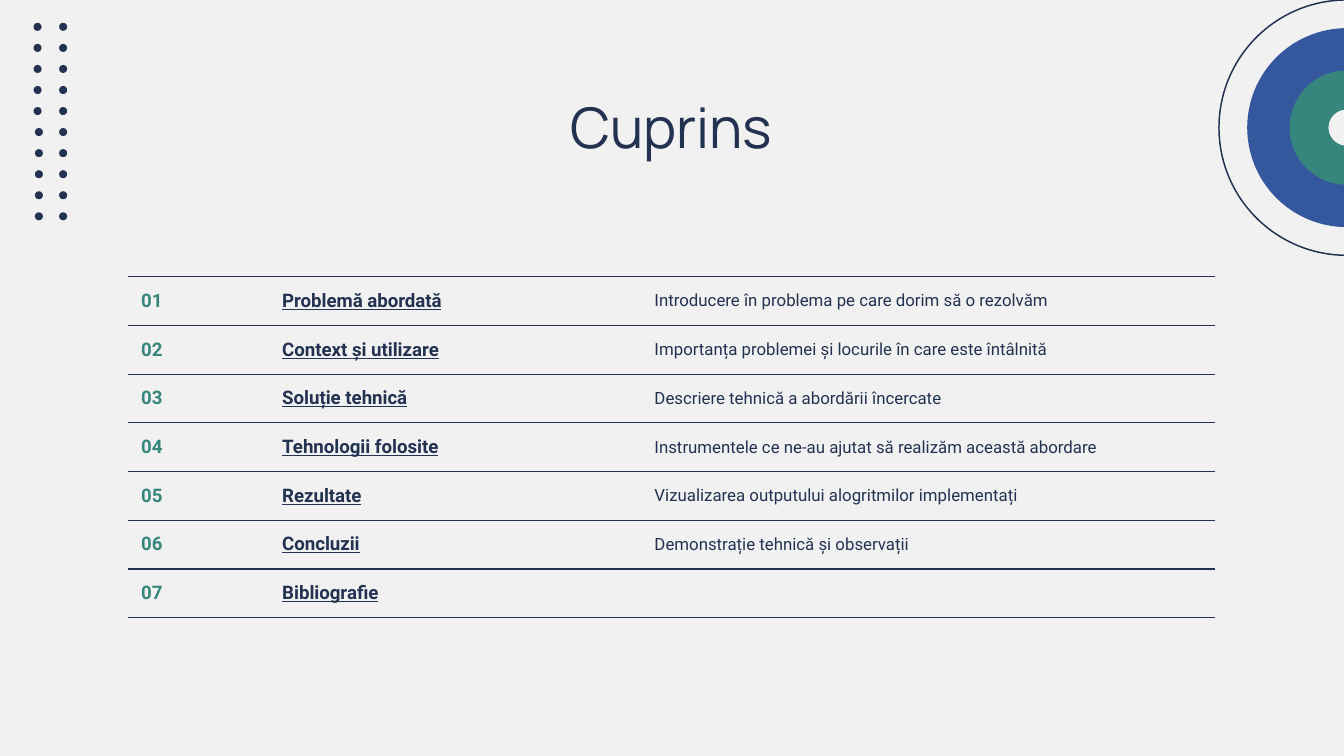
from itertools import product
from lxml.etree import SubElement
from pptx import Presentation
from pptx.dml.color import RGBColor
from pptx.enum.shapes import MSO_SHAPE as Preset
from pptx.enum.text import MSO_ANCHOR as Anchor, PP_ALIGN as Align
from pptx.oxml.ns import qn
from pptx.util import Inches, Pt

NAVY, BLUE, TEAL, PAPER = "233251", "34579E", "36867D", "F1F1F1"
TITLE = "Cuprins"
CHAPTERS = [
    ("01", "Problemă abordată", "Introducere în problema pe care dorim să o rezolvăm"),
    ("02", "Context și utilizare", "Importanța problemei și locurile în care este întâlnită"),
    ("03", "Soluție tehnică", "Descriere tehnică a abordării încercate"),
    ("04", "Tehnologii folosite", "Instrumentele ce ne-au ajutat să realizăm această abordare"),
    ("05", "Rezultate", "Vizualizarea outputului alogritmilor implementați"),
    ("06", "Concluzii", "Demonstrație tehnică și observații"),
    ("07", "Bibliografie", ""),
]
COLUMNS = [
    (1.05, TEAL, dict(size=Pt(10), bold=True)),
    (2.77, NAVY, dict(size=Pt(10), bold=True, underline=True)),
    (4.27, NAVY, dict(size=Pt(9), bold=False)),
]
ROW_HEIGHT = 0.35
RINGS = [
    (Preset.DONUT, 1.48, BLUE, None),
    (Preset.OVAL, 1.9, None, NAVY),
    (Preset.DONUT, 0.85, TEAL, None),
]
RING_CENTER, RING_THICKNESS = (10.02, 0.95), 0.34
DOT_SIZE, DOT_ROWS, DOT_TOP, DOT_BOTTOM = 0.06, 10, 0.17, 1.58


def paint(color_fill, color):
    """Fill with a hex colour, or with nothing."""
    if color:
        color_fill.solid()
        color_fill.fore_color.rgb = RGBColor.from_string(color)
    else:
        color_fill.background()


def set_font(font, name, color, **values):
    """Set name, colour and other values of a font."""
    font.name = name
    font.color.rgb = RGBColor.from_string(color)
    for key, value in values.items():
        setattr(font, key, value)


def add_round(slide, preset, left, top, size, fill, line=None):
    """Add a round shape of equal width and height."""
    shape = slide.shapes.add_shape(preset, *map(Inches, (left, top, size, size)))
    shape.shadow.inherit = False
    paint(shape.fill, fill)
    paint(shape.line.fill, line)
    if line:
        shape.line.width = Pt(0.78)
    return shape


def set_borders(cell):
    """Rule the cell above and below and leave its sides open."""
    properties = cell._tc.get_or_add_tcPr()
    for index, side in enumerate(("lnL", "lnR", "lnT", "lnB")):
        border = SubElement(properties, qn(f"a:{side}"), w=str(Pt(0.75)))
        properties.insert(index, border)
        if side in ("lnT", "lnB"):
            solid = SubElement(border, qn("a:solidFill"))
            SubElement(solid, qn("a:srgbClr"), val=NAVY)
        else:
            SubElement(border, qn("a:noFill"))


def add_decoration(slide):
    """Add the rings at the right and the dots at the left."""
    x, y = RING_CENTER
    for preset, size, fill, line in RINGS:
        ring = add_round(slide, preset, x - size / 2, y - size / 2, size, fill, line)
        if preset == Preset.DONUT:
            ring.adjustments[0] = RING_THICKNESS
    pitch = (DOT_BOTTOM - DOT_TOP) / (DOT_ROWS - 1)
    for row, column in product(range(DOT_ROWS), range(2)):
        left = 0.44 if column else 0.25 if row < DOT_ROWS / 2 else 0.26
        add_round(slide, Preset.OVAL, left, DOT_TOP + row * pitch, DOT_SIZE, NAVY)


def add_title(slide):
    """Place and format the title."""
    title = slide.shapes.title
    title.left, title.top, title.width, title.height = map(Inches, (0.95, 0.59, 8.09, 0.63))
    frame = title.text_frame
    frame.text = TITLE
    frame.vertical_anchor = Anchor.TOP
    frame.margin_left = frame.margin_right = frame.margin_top = frame.margin_bottom = Inches(0.1)
    paragraph = frame.paragraphs[0]
    paragraph.alignment = Align.CENTER
    set_font(paragraph.runs[0].font, "Manrope", NAVY, size=Pt(30))


def add_contents(slide):
    """Add the table of chapters."""
    size = (0.95, 2.06, sum(column[0] for column in COLUMNS), ROW_HEIGHT * len(CHAPTERS))
    table = slide.shapes.add_table(len(CHAPTERS), len(COLUMNS), *map(Inches, size)).table
    table.first_row = table.horz_banding = False
    for column, (width, _, _) in zip(table.columns, COLUMNS):
        column.width = Inches(width)
    for row, chapter in zip(table.rows, CHAPTERS):
        row.height = Inches(ROW_HEIGHT)
        for cell, text, (_, color, values) in zip(row.cells, chapter, COLUMNS):
            cell.vertical_anchor = Anchor.MIDDLE
            cell.margin_left = cell.margin_right = cell.margin_top = cell.margin_bottom = Inches(0.1)
            paint(cell.fill, None)
            set_borders(cell)
            paragraph = cell.text_frame.paragraphs[0]
            if text:
                run = paragraph.add_run()
                run.text = text
                set_font(run.font, "Roboto", color, **values)
            else:
                SubElement(paragraph._p, qn("a:endParaRPr"), sz=str(values["size"].centipoints))


def main():
    """Build the contents slide."""
    presentation = Presentation()
    presentation.slide_width = Inches(10)
    presentation.slide_height = presentation.slide_width * 9 // 16
    slide = presentation.slides.add_slide(presentation.slide_layouts[5])
    paint(slide.background.fill, PAPER)
    add_decoration(slide)
    add_title(slide)
    add_contents(slide)
    presentation.save("out.pptx")


if __name__ == "__main__":
    main()
